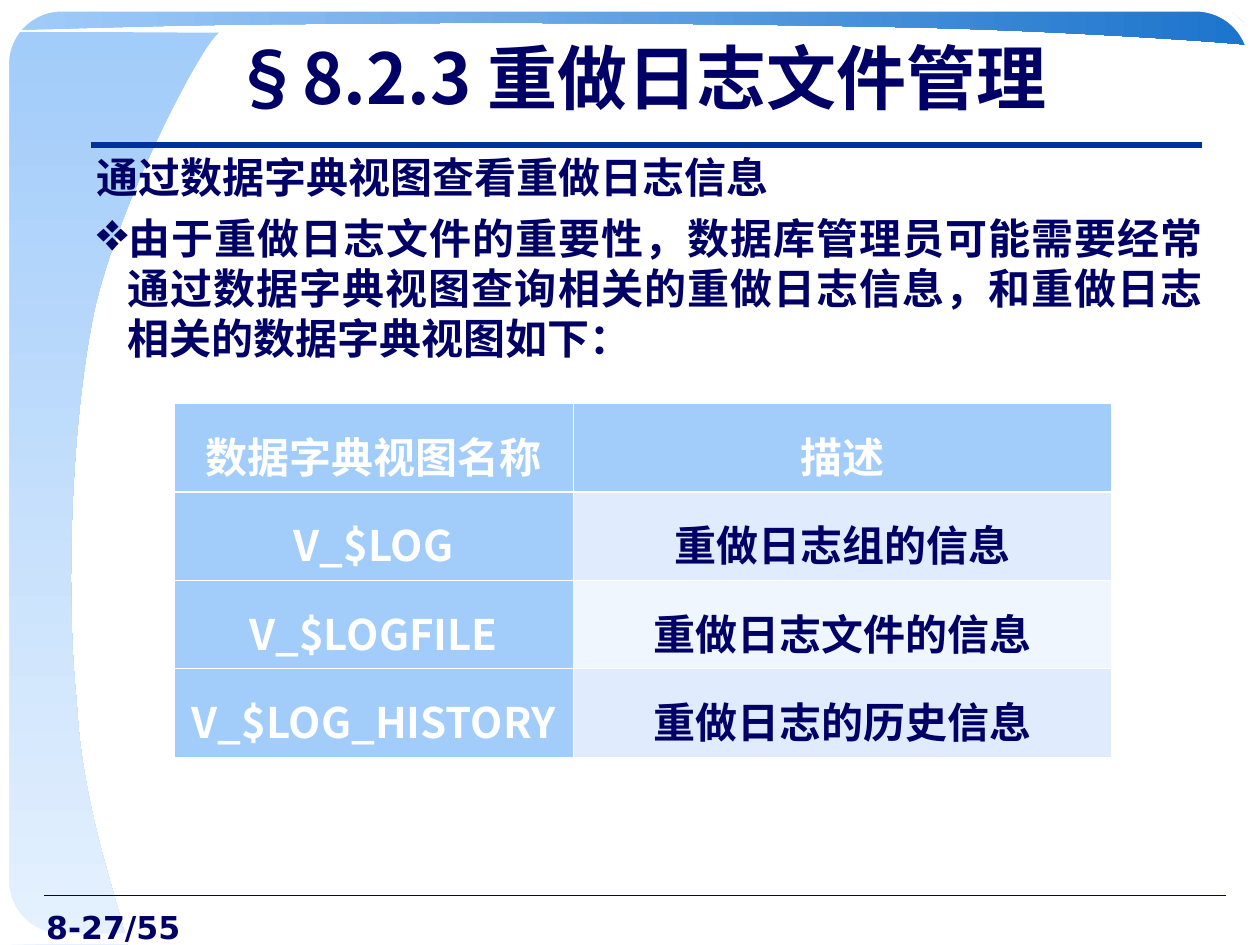
import pptx
import pptx.dml.color
import pptx.enum.shapes
import pptx.enum.text
import pptx.oxml.ns
import pptx.util
from lxml import etree
from pptx.util import Inches

THEME = {
    "navy": "000066", "rule": "003399", "white": "FFFFFF",
    "sky": "A2CCFA", "pale": "E5F1FE", "blue": "1C74CC",
    "band_dark": "E0ECFD", "band_light": "F0F6FE",
    "font": "Noto Sans CJK SC", "number_font": "DejaVu Sans",
    "title": 40, "body": 24, "number": 18,
}
RGB = pptx.dml.color.RGBColor.from_string
ALIGN = pptx.enum.text.PP_ALIGN
qn = pptx.oxml.ns.qn


def style_text(paragraph, size, color, alignment, font="font"):
    paragraph.alignment = alignment
    for run in paragraph.runs:
        run.font.size = pptx.util.Pt(THEME[size])
        run.font.bold = True
        run.font.name = THEME[font]
        run.font.color.rgb = RGB(THEME[color])
        east_asian = etree.SubElement(run.font._element, qn("a:ea"))
        east_asian.set("typeface", THEME[font])


def add_outline(shapes, start, segments):
    """Segments of two numbers are lines; segments of six are Bézier curves."""
    builder = shapes.build_freeform(Inches(start[0]), Inches(start[1]), scale=1.0)
    for segment in segments:
        points = zip(segment[::2], segment[1::2])
        builder.add_line_segments([(Inches(x), Inches(y)) for x, y in points], close=False)
    shape = builder.convert_to_shape()
    path = shape._element.find(".//" + qn("a:path"))
    lines = iter(path.findall(qn("a:lnTo")))
    for segment in segments:
        line = next(lines)
        if len(segment) == 6:
            line.tag = qn("a:cubicBezTo")
            for control_line in (next(lines), next(lines)):
                line.append(control_line[0])
                path.remove(control_line)
    etree.SubElement(path, qn("a:close"))
    shape.shadow.inherit = False
    shape.line.fill.background()
    return shape


presentation = pptx.Presentation()
presentation.slide_width = Inches(10)
presentation.slide_height = Inches(7.5)
slide = presentation.slides.add_slide(presentation.slide_layouts[5])
shapes = slide.shapes

# Gradient waves along the left and top edges
waves = [
    ((1.01, 7.5), [(0.95, 7.18, 0.65, 6.42, 0.61, 5.58),
                   (0.52, 4.74, 0.56, 3.37, 0.75, 2.46),
                   (0.95, 1.59, 1.6, 0.35, 1.74, 0.26),
                   (0.01, 0.25), (0, 7.5)], "pale", 270),
    ((0.07, 0.24), [(0.51, 0.23, 1.49, 0.19, 2.71, 0.19),
                    (3.86, 0.17, 6.12, 0.19, 7.36, 0.22),
                    (8.54, 0.25, 9.82, 0.34, 9.94, 0.36),
                    (9.95, 0.07), (0.07, 0.07)], "blue", 0),
]
for start, segments, end_color, angle in waves:
    wave = add_outline(shapes, start, segments)
    wave.fill.gradient()
    wave.fill.gradient_angle = angle
    for stop, color in zip(wave.fill.gradient_stops, ("sky", end_color)):
        stop.color.rgb = RGB(THEME[color])

# White rounded frame and corner masks
frame = shapes.add_shape(pptx.enum.shapes.MSO_SHAPE.ROUNDED_RECTANGLE,
                         Inches(0.03), Inches(0.05), Inches(9.92), Inches(7.4))
frame.adjustments[0] = 0.062
frame.shadow.inherit = False
frame.fill.background()
frame.line.color.rgb = RGB(THEME["white"])
frame.line.width = pptx.util.Pt(6)

corners = [
    ((0.48, 7.49), [(0.19, 7.35), (0.05, 7.2), (0, 6.98), (0, 7.5)]),
    ((0, 0.55), [(0.04, 0.49, 0.13, 0.26, 0.21, 0.17),
                 (0.28, 0.08, 0.5, 0.04, 0.48, 0), (0, 0.01)]),
    ((9.99, 7), [(9.87, 7.25), (9.71, 7.41), (9.56, 7.5), (10, 7.49)]),
    ((9.51, 0.01), [(9.56, 0.03, 9.72, 0.02, 9.86, 0.17),
                    (9.99, 0.32, 9.97, 0.6, 9.99, 0.57), (9.99, 0.01)]),
]
for start, segments in corners:
    corner = add_outline(shapes, start, segments)
    corner.fill.solid()
    corner.fill.fore_color.rgb = RGB(THEME["white"])

# Title and footer rules
for left, right, y, color, width in [(0.35, 9.73, 7.11, "navy", 0.75),
                                     (0.72, 9.54, 1.15, "rule", 3)]:
    rule = shapes.add_connector(pptx.enum.shapes.MSO_CONNECTOR.STRAIGHT,
                                Inches(left), Inches(y), Inches(right), Inches(y))
    rule.line.color.rgb = RGB(THEME[color])
    rule.line.width = pptx.util.Pt(width)
    etree.SubElement(rule._element.spPr, qn("a:effectLst"))

# Page number
page_number = shapes.add_textbox(Inches(0), Inches(7.16), Inches(1.53), Inches(0.34))
page_number.text_frame.word_wrap = True
page_number.text_frame.text = "8-27/55"
style_text(page_number.text_frame.paragraphs[0], "number", "navy", ALIGN.RIGHT,
           "number_font")

# Title, brought in front of the waves
title = shapes.title
title.left, title.top = Inches(1.06), Inches(0.13)
title.width, title.height = Inches(8.03), Inches(0.95)
title.text_frame.text = "§8.2.3 重做日志文件管理"
title.text_frame.vertical_anchor = pptx.enum.text.MSO_ANCHOR.MIDDLE
style_text(title.text_frame.paragraphs[0], "title", "navy", ALIGN.CENTER)
shapes.element.append(title.element)

# Introduction
body = shapes.add_textbox(Inches(0.67), Inches(1.15), Inches(8.98), Inches(5.98))
body.text_frame.word_wrap = True
heading = body.text_frame.paragraphs[0]
heading.text = "通过数据字典视图查看重做日志信息"
bullet = body.text_frame.add_paragraph()
bullet.text = ("由于重做日志文件的重要性，数据库管理员可能需要经常通过数据字典视图"
               "查询相关的重做日志信息，和重做日志相关的数据字典视图如下：")
bullet.space_before = pptx.util.Pt(6)
properties = bullet._element.get_or_add_pPr()
properties.set("marL", str(Inches(0.24)))
properties.set("indent", str(-Inches(0.24)))
bullet_color = etree.SubElement(properties, qn("a:buClr"))
etree.SubElement(bullet_color, qn("a:srgbClr")).set("val", THEME["navy"])
etree.SubElement(properties, qn("a:buSzPct")).set("val", "130000")
etree.SubElement(properties, qn("a:buChar")).set("char", "❖")
for paragraph in (heading, bullet):
    style_text(paragraph, "body", "navy", ALIGN.JUSTIFY)

# Table of dictionary views
rows = [
    ("数据字典视图名称", "描述"),
    ("V_$LOG", "重做日志组的信息"),
    ("V_$LOGFILE", "重做日志文件的信息"),
    ("V_$LOG_HISTORY", "重做日志的历史信息"),
]
table = shapes.add_table(len(rows), 2, Inches(1.38), Inches(3.2),
                         Inches(7.44), Inches(2.81)).table
table.columns[0].width, table.columns[1].width = Inches(3.17), Inches(4.27)
for row_index, row in enumerate(rows):
    for column_index, text in enumerate(row):
        cell = table.cell(row_index, column_index)
        cell.margin_left = cell.margin_right = Inches(0.08)
        cell.text_frame.text = text
        is_header = row_index == 0 or column_index == 0
        paragraph = cell.text_frame.paragraphs[0]
        paragraph.line_spacing = 1.25
        style_text(paragraph, "body", "white" if is_header else "navy", ALIGN.CENTER)
        band = "band_dark" if row_index % 2 else "band_light"
        cell_properties = cell._tc.get_or_add_tcPr()
        for side in "LRTB":
            thick = (row_index, side) in ((0, "B"), (1, "T"))
            border = etree.SubElement(cell_properties, qn(f"a:ln{side}"))
            border.set("w", str(pptx.util.Pt(1.47 if thick else 0.45)))
            border_fill = etree.SubElement(border, qn("a:solidFill"))
            etree.SubElement(border_fill, qn("a:srgbClr")).set("val", THEME["white"])
        cell.fill.solid()
        cell.fill.fore_color.rgb = RGB(THEME["sky" if is_header else band])

presentation.save("out.pptx")
